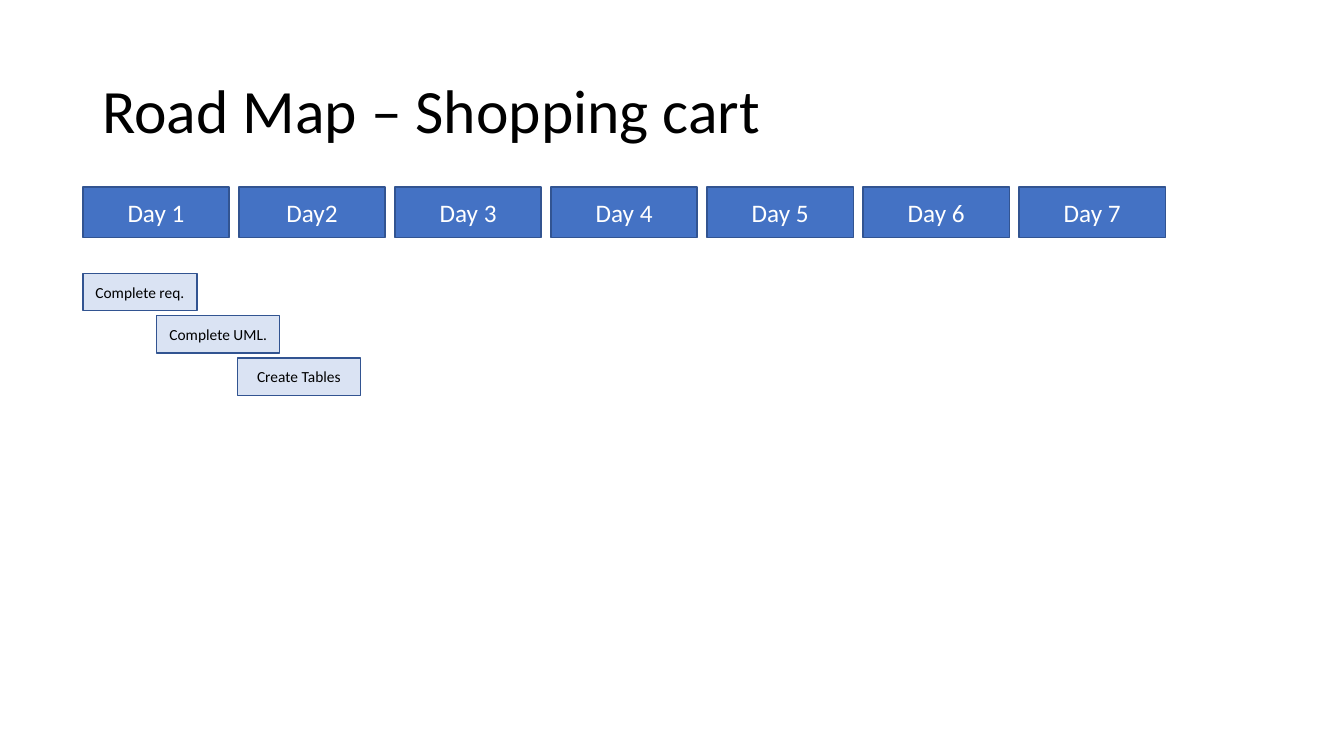
from dataclasses import dataclass

from pptx import Presentation
from pptx.dml.color import RGBColor as RGB
from pptx.enum.shapes import MSO_SHAPE as SHAPE
from pptx.enum.text import MSO_ANCHOR as ANCHOR, PP_ALIGN as ALIGN
from pptx.util import Pt


@dataclass(frozen=True)
class Theme:
    font: str = "Calibri"
    dark: RGB = RGB(0x00, 0x00, 0x00)
    light: RGB = RGB(0xFF, 0xFF, 0xFF)
    day_fill: RGB = RGB(0x44, 0x72, 0xC4)
    task_fill: RGB = RGB(0xDA, 0xE3, 0xF3)
    outline: RGB = RGB(0x32, 0x54, 0x91)
    title_size: int = 44
    day_size: int = 18
    task_size: int = 11


THEME = Theme()
DAYS = ["Day 1", "Day2", "Day 3", "Day 4", "Day 5", "Day 6", "Day 7"]
# Each task: label, offset from the start of day 1, width
TASKS = [
    ("Complete req.", 0, 81.5),
    ("Complete UML.", 52.7, 88),
    ("Create Tables", 110.3, 88),
]


def write(sp, text, size, color, align):
    tf = sp.text_frame
    tf.word_wrap = True
    tf.vertical_anchor = ANCHOR.MIDDLE
    p = tf.paragraphs[0]
    p.text = text
    p.alignment = align
    p.font.name = THEME.font
    p.font.size = Pt(size)
    p.font.color.rgb = color
    return p


def add_bar(s, box, text, fill, size, color):
    sp = s.shapes.add_shape(SHAPE.RECTANGLE, *map(Pt, box))
    sp.shadow.inherit = False
    sp.fill.solid()
    sp.fill.fore_color.rgb = fill
    sp.line.color.rgb = THEME.outline
    sp.line.width = Pt(1)
    write(sp, text, size, color, ALIGN.CENTER)


def add_title(s, box, text):
    sp = s.shapes.add_textbox(*map(Pt, box))
    p = write(sp, text, THEME.title_size, THEME.dark, ALIGN.LEFT)
    p.line_spacing = 0.9


def add_days(s, box, days, gap=7):
    left, top, width, height = box
    bar_width = (width - gap * (len(days) - 1)) / len(days)
    for i, day in enumerate(days):
        bar = (left + i * (bar_width + gap), top, bar_width, height)
        add_bar(s, bar, day, THEME.day_fill, THEME.day_size, THEME.light)


def add_tasks(s, box, tasks, gap=3.4):
    left, top, _, height = box
    bar_height = (height - gap * (len(tasks) - 1)) / len(tasks)
    for i, (label, offset, width) in enumerate(tasks):
        bar = (left + offset, top + i * (bar_height + gap), width, bar_height)
        add_bar(s, bar, label, THEME.task_fill, THEME.task_size, THEME.dark)


prs = Presentation()
prs.slide_width, prs.slide_height = Pt(960), Pt(540)
s = prs.slides.add_slide(prs.slide_layouts[6])

# Heading
add_title(s, (66, 28.75, 828, 104.4), "Road Map – Shopping cart")
# Timeline header
add_days(s, (59.2, 133.5, 773.2, 36.3), DAYS)
# Task bars, stepping down and to the right
add_tasks(s, (59.2, 195.2, 773.2, 87.2), TASKS)

prs.save("out.pptx")
